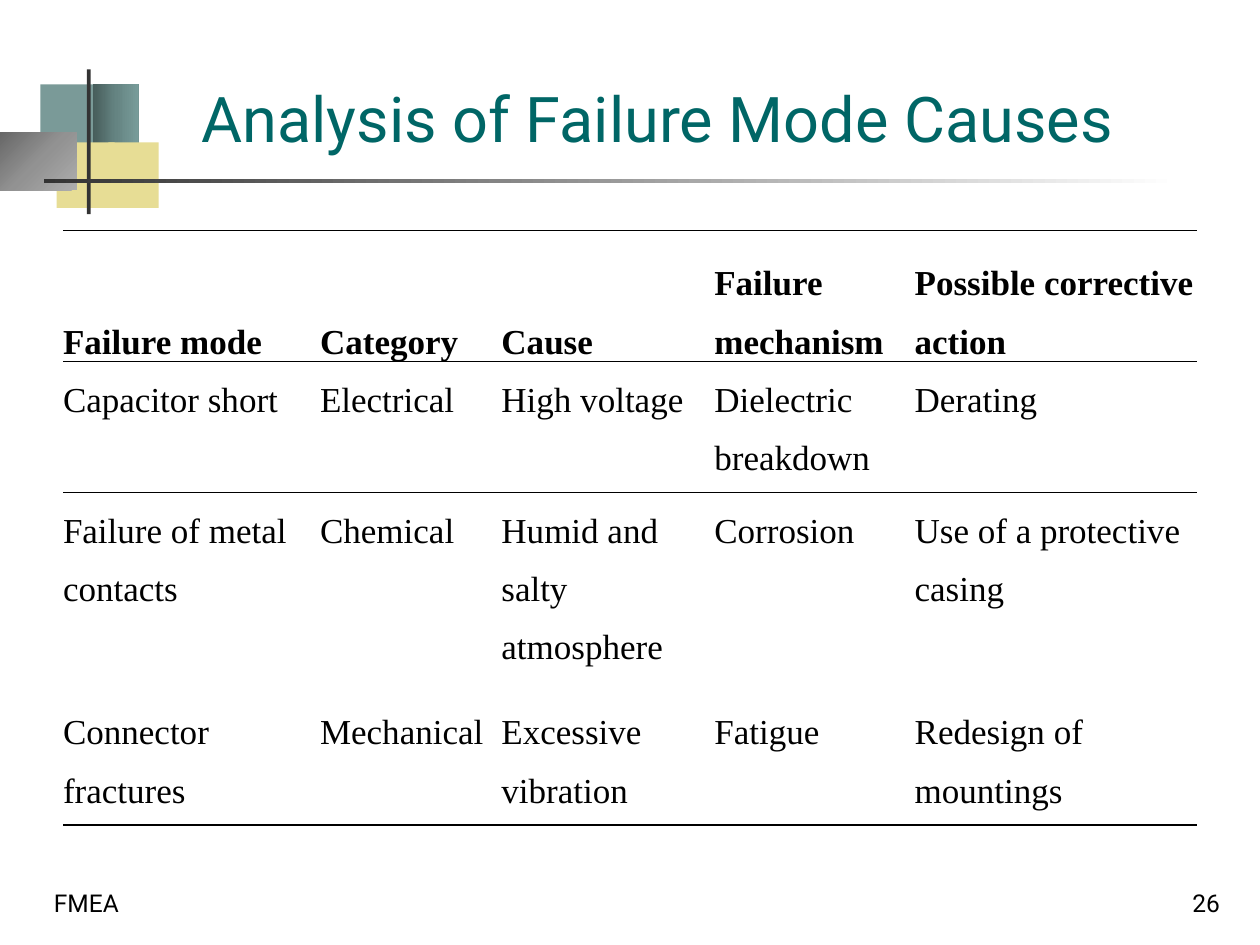
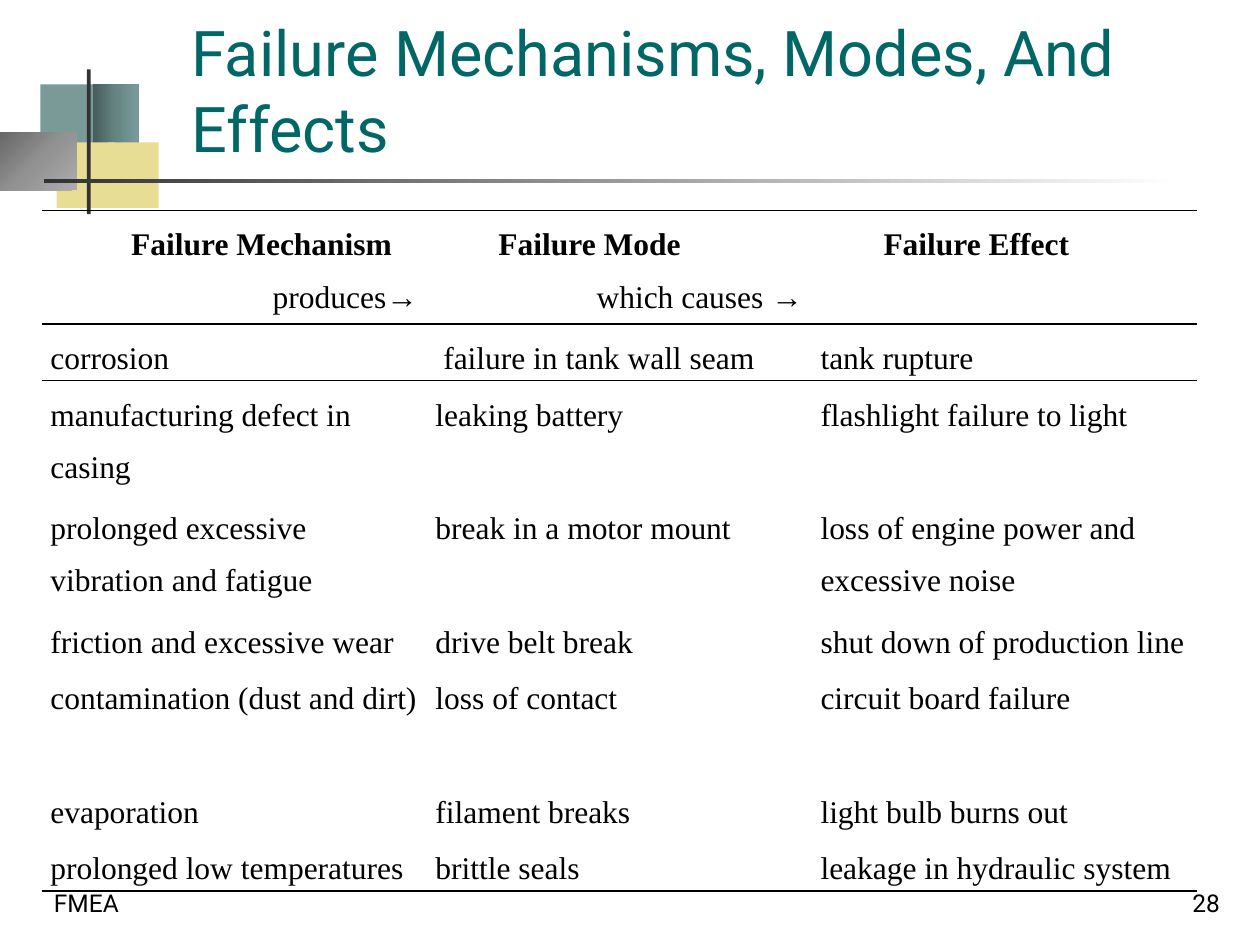
from pptx import Presentation, oxml
from pptx import util as u
from pptx.dml.color import RGBColor
from pptx.enum import shapes, text
from pptx.oxml import ns

COLOURS = {
    "title": "006666", "ink": "000000", "bar": "333333", "teal": "7A9A98",
    "teal dark": "475D5B", "teal mid": "658482", "teal light": "789C9A",
    "sand": "E7DD95", "grey dark": "676767", "grey mid": "929292",
    "grey light": "ADADAD", "white": "FFFFFF",
}
HEADING_FONT, TABLE_FONT = "Roboto", "Times New Roman"
PLAIN_TABLE = "{2D5ABB26-0587-4C30-8999-92F81FD0307C}"
LEFT, CENTER, RIGHT = text.PP_ALIGN.LEFT, text.PP_ALIGN.CENTER, text.PP_ALIGN.RIGHT
TOP, BOTTOM = text.MSO_ANCHOR.TOP, text.MSO_ANCHOR.BOTTOM
LINEAR = '<a:lin ang="0" scaled="0"/>'
FROM_CORNER = '<a:path path="circle"><a:fillToRect l="0" t="0" r="100000" b="100000"/></a:path>'


def box(left, top, width, height):
    return [u.Inches(value) for value in (left, top, width, height)]


class Deck:
    """Holds the shared style and the current slide."""

    def __init__(self):
        self.presentation = Presentation()
        self.presentation.slide_width = u.Inches(10)
        self.presentation.slide_height = u.Inches(7.5)
        self.slide = None

    def new_slide(self, title, title_at, number):
        self.slide = self.presentation.slides.add_slide(self.presentation.slide_layouts[6])
        self.corner_motif()
        self.label(title, (*title_at, 7.77, 0.86), 36, "title")
        self.label("FMEA", (0.33, 6.83, 2.08, 0.5), 14, "ink")
        self.label(str(number), (7.7, 6.83, 2.08, 0.5), 14, "ink", RIGHT)

    def corner_motif(self):
        # Overlapping blocks
        self.block((0.32, 0.67, 0.48, 0.52), ["teal"])
        self.block((0.74, 0.67, 0.36, 0.52), ["teal dark", "teal mid", "teal light"])
        self.block((0.45, 1.13, 0.46, 0.52), ["sand"])
        self.block((0.86, 1.13, 0.4, 0.52), ["sand"])
        self.block((0, 1.05, 0.61, 0.46), ["grey dark", "grey mid", "grey light"], FROM_CORNER)
        # Crossing bars
        self.block((0.69, 0.55, 0.03, 1.15), ["bar"])
        self.block((0.35, 1.42, 9, 0.03), ["bar", "white"])

    def block(self, at, colours, direction=LINEAR):
        shape = self.slide.shapes.add_shape(shapes.MSO_SHAPE.RECTANGLE, *box(*at))
        shape.shadow.inherit = False
        shape.line.fill.background()
        if len(colours) == 1:
            shape.fill.solid()
            shape.fill.fore_color.rgb = RGBColor.from_string(COLOURS[colours[0]])
            return
        stops = "".join(
            f'<a:gs pos="{100000 * index // (len(colours) - 1)}">'
            f'<a:srgbClr val="{COLOURS[name]}"/></a:gs>'
            for index, name in enumerate(colours))
        shape.fill.background()
        properties = shape._element.spPr
        properties.replace(properties.find(ns.qn("a:noFill")), oxml.parse_xml(
            f'<a:gradFill {ns.nsdecls("a")} rotWithShape="1">'
            f'<a:gsLst>{stops}</a:gsLst>{direction}</a:gradFill>'))

    def run(self, paragraph, words, font, size, colour, bold=False):
        run = paragraph.add_run()
        run.text = words
        run.font.name, run.font.size, run.font.bold = font, u.Pt(size), bold
        run.font.color.rgb = RGBColor.from_string(COLOURS[colour])

    def label(self, words, at, size, colour, align=LEFT):
        frame = self.slide.shapes.add_textbox(*box(*at)).text_frame
        frame.word_wrap = True
        frame.vertical_anchor = BOTTOM
        frame.paragraphs[0].alignment = align
        self.run(frame.paragraphs[0], words, HEADING_FONT, size, colour)

    def table(self, left, top, columns, heights, rows, size, inset=0, indent=0, header_anchor=TOP):
        """A header cell is a list of (words, bold, alignment), a body cell a string."""
        frame = self.slide.shapes.add_table(
            len(rows), len(columns), *box(left, top, sum(columns), sum(heights)))
        table = frame.table
        table.first_row = table.horz_banding = False
        table._tbl.tblPr.find(ns.qn("a:tableStyleId")).text = PLAIN_TABLE
        for column, width in zip(table.columns, columns):
            column.width = u.Inches(width)
        for index, (row, height) in enumerate(zip(rows, heights)):
            table.rows[index].height = u.Inches(height)
            ruled = {0: ["T", "B"], 1: ["T"], len(rows) - 1: ["B"]}.get(index, [])
            for cell, content in zip(table.rows[index].cells, row):
                self.cell(cell, content, size, inset, indent, ruled)
                cell.vertical_anchor = TOP if index else header_anchor

    def cell(self, cell, content, size, inset, indent, ruled):
        cell.margin_left = cell.margin_right = u.Inches(inset)
        cell.margin_top = cell.margin_bottom = 0
        header = not isinstance(content, str)
        lines = content if header else [(content, False, LEFT)]
        for index, (words, bold, align) in enumerate(lines):
            frame = cell.text_frame
            paragraph = frame.add_paragraph() if index else frame.paragraphs[0]
            paragraph.alignment, paragraph.line_spacing = align, 1.5
            if header and indent:
                paragraph._p.get_or_add_pPr().set("indent", str(u.Inches(indent)))
            self.run(paragraph, words, TABLE_FONT, size, "ink", bold)
        for side in ruled:
            cell._tc.get_or_add_tcPr().append(oxml.parse_xml(
                f'<a:ln{side} {ns.nsdecls("a")} w="{u.Pt(1)}"><a:solidFill>'
                f'<a:srgbClr val="{COLOURS["ink"]}"/></a:solidFill></a:ln{side}>'))
        cell.fill.background()


deck = Deck()

# Causes of failure modes
deck.new_slide("Analysis of Failure Mode Causes", (1.5, 0.42), 26)
headings = ["Failure mode", "Category", "Cause", "Failure mechanism", "Possible corrective action"]
deck.table(
    0.5, 1.83, [2.04, 1.44, 1.69, 1.59, 2.24], [1.04, 1.04, 1.6, 1.04],
    [
        [[(heading, True, LEFT)] for heading in headings],
        ["Capacitor short", "Electrical", "High voltage", "Dielectric breakdown", "Derating"],
        ["Failure of metal contacts", "Chemical", "Humid and salty atmosphere", "Corrosion",
         "Use of a protective casing"],
        ["Connector fractures", "Mechanical", "Excessive vibration", "Fatigue",
         "Redesign of mountings"],
    ],
    size=20, header_anchor=BOTTOM)

# Chain from mechanism to effect
deck.new_slide("Failure Mechanisms, Modes, And Effects", (1.42, 0.5), 28)
line_height = 0.45
line_counts = [2, 1, 2, 2, 1, 2, 1, 1]
deck.table(
    0.33, 1.67, [9.17 / 3] * 3, [line_height * count for count in line_counts],
    [
        [[("Failure Mechanism ", True, CENTER), ("produces→", False, RIGHT)],
         [("Failure Mode ", True, LEFT), ("which causes →", False, RIGHT)],
         [("Failure Effect", True, LEFT)]],
        ["corrosion", " failure in tank wall seam", "tank rupture"],
        ["manufacturing defect in casing", "leaking battery", "flashlight failure to light"],
        ["prolonged excessive vibration and fatigue", "break in a motor mount",
         "loss of engine power and excessive noise "],
        ["friction and excessive wear", "drive belt break", "shut down of production line"],
        ["contamination (dust and dirt)", "loss of contact", "circuit board failure "],
        ["evaporation ", "filament breaks", "light bulb burns out"],
        ["prolonged low temperatures", "brittle seals", "leakage in hydraulic system"],
    ],
    size=18, inset=0.07, indent=0.5)

deck.presentation.save("out.pptx")
